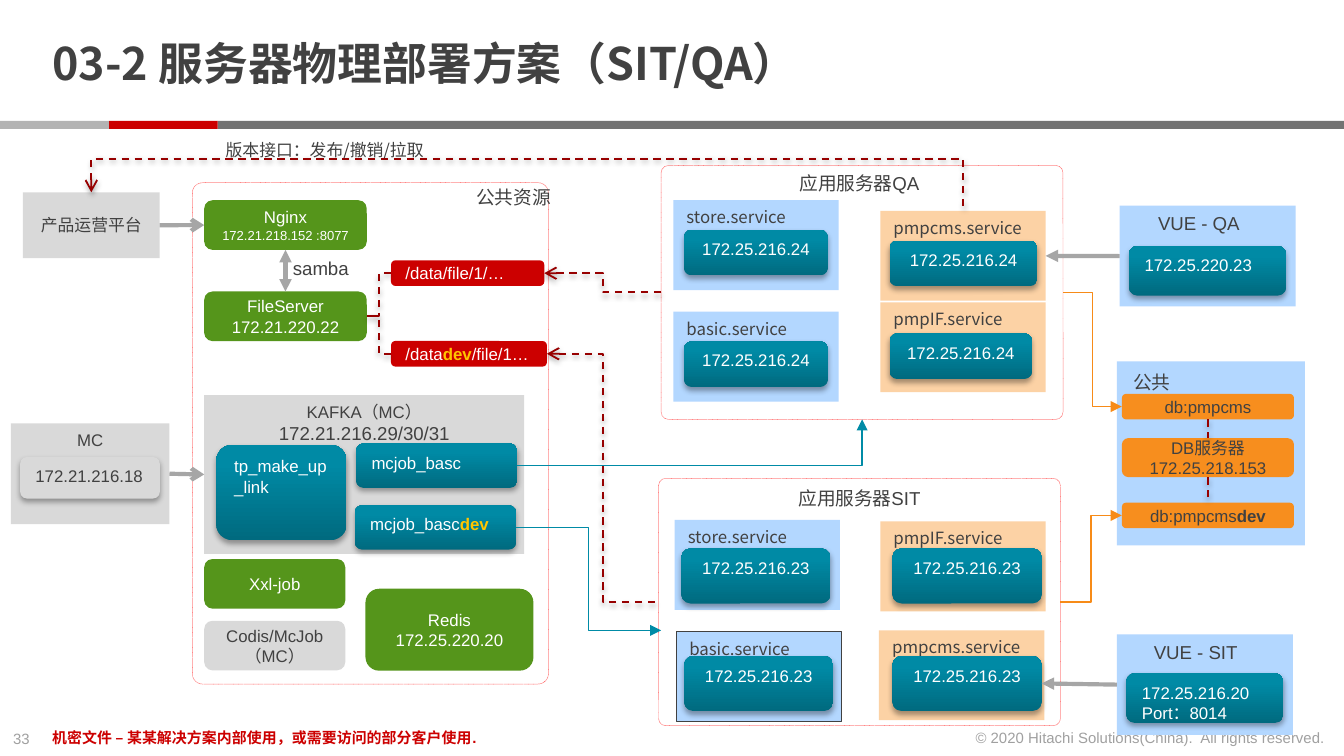
from lxml import etree
from pptx import Presentation
from pptx.dml.color import RGBColor
from pptx.enum.dml import MSO_LINE
from pptx.enum.shapes import MSO_CONNECTOR, MSO_SHAPE
from pptx.enum.text import MSO_ANCHOR, PP_ALIGN
from pptx.oxml.ns import qn
from pptx.util import Pt

RECT, ROUND = MSO_SHAPE.RECTANGLE, MSO_SHAPE.ROUNDED_RECTANGLE
STRAIGHT, ELBOW = MSO_CONNECTOR.STRAIGHT, MSO_CONNECTOR.ELBOW
LEFT_AL, CENTER, RIGHT_AL = PP_ALIGN.LEFT, PP_ALIGN.CENTER, PP_ALIGN.RIGHT
TOP_ANCHOR, MIDDLE = MSO_ANCHOR.TOP, MSO_ANCHOR.MIDDLE
DASH, DOT = MSO_LINE.DASH, MSO_LINE.ROUND_DOT
TOP, LEFT, BOTTOM, RIGHT = range(4)  # connection sites

SANS, CJK = "Arial", "Noto Sans CJK SC"
INK, WHITE, PALE_INK = "414141", "FFFFFF", "A0A0A0"
GREEN, RED, ORANGE, GRAY = "55951B", "CC0000", "F78E1E", "D9D9D9"
BLUE, PEACH, YELLOW = "B3D7FF", "FCD2A5", "FFC600"
DARK_RED, TEAL, ARROW_GRAY, ARROW_ORANGE = "970000", "008BA6", "A6A6A6", "F78B18"
DEV = ("dev", {"color": YELLOW, "bold": True})


def rgb(code):
    return RGBColor.from_string(code)


def write(shape, paragraphs, size=9, color=INK, font=SANS, align=CENTER,
          anchor=TOP_ANCHOR, bold=False, wrap=True):
    """Each paragraph is a string or a list of (text, changes) runs."""
    frame = shape.text_frame
    frame.word_wrap = wrap
    frame.vertical_anchor = anchor
    for i, content in enumerate(paragraphs):
        paragraph = frame.add_paragraph() if i else frame.paragraphs[0]
        paragraph.alignment = align
        for text, changes in [(content, {})] if isinstance(content, str) else content:
            run = paragraph.add_run()
            run.text = text
            run.font.name = font
            run.font.size = Pt(changes.get("size", size))
            run.font.bold = changes.get("bold", bold)
            run.font.color.rgb = rgb(changes.get("color", color))
            etree.SubElement(run.font._element, qn("a:ea"), typeface=CJK)


def add_shadow(shape, alpha, distance):
    properties = shape._element.spPr
    effects = properties.find(qn("a:effectLst"))
    shadow = etree.SubElement(effects, qn("a:outerShdw"), blurRad=str(Pt(3.1)),
                              dist=str(Pt(distance)), dir="5400000", rotWithShape="0")
    shade = etree.SubElement(shadow, qn("a:srgbClr"), val="000000")
    etree.SubElement(shade, qn("a:alpha"), val=str(alpha * 1000))


def add_box(slide, kind, area, fill=None, paragraphs=(), **style):
    box = slide.shapes.add_shape(kind, *map(Pt, area))
    box.shadow.inherit = False
    box.line.fill.background()
    if fill:
        box.fill.solid()
        box.fill.fore_color.rgb = rgb(fill)
    else:
        box.fill.background()
    write(box, paragraphs, **style)
    return box


def add_outline(shape, color, dash=None):
    shape.line.color.rgb = rgb(color)
    shape.line.width = Pt(0.25)
    if dash:
        shape.line.dash_style = dash


def add_panel(slide, area, paragraphs=()):
    panel = add_box(slide, ROUND, area, None, paragraphs, size=10)
    panel.adjustments[0] = 0.029
    add_outline(panel, "FF4747", DOT)
    return panel


def add_button(slide, area, paragraphs, align=CENTER):
    """Raised teal button with a vertical gradient."""
    button = add_box(slide, ROUND, area, TEAL, paragraphs, color=WHITE, align=align)
    button.fill.gradient()
    button.fill.gradient_angle = 90
    for stop, color, position in zip(button.fill.gradient_stops,
                                     ("006A7F", "008AA5"), (0, 0.8)):
        stop.color.rgb = rgb(color)
        stop.position = position
    add_shadow(button, 35, 1.8)
    return button


def add_service(slide, name, x, y, fill, button_area, ip):
    card = add_box(slide, RECT, (x, y, 88.6, 48.2), fill, [name],
                   font=CJK, align=LEFT_AL)
    return card, add_button(slide, button_area, [ip])


def add_label(slide, area, text, **style):
    write(slide.shapes.add_textbox(*map(Pt, area)), [text], **style)


def add_link(slide, kind, start, end, color, width, head=None, tail=None, dashed=False):
    """start is (shape, site); end is (shape, site) or a point (x, y)."""
    free = isinstance(end[0], (int, float))
    x, y = map(Pt, end) if free else (0, 0)
    link = slide.shapes.add_connector(kind, 0, 0, x, y)
    link.begin_connect(*start)
    if not free:
        link.end_connect(*end)
    link.line.color.rgb = rgb(color)
    link.line.width = Pt(width)
    if dashed:
        link.line.dash_style = DASH
    line = link._element.spPr.find(qn("a:ln"))
    for tag, arrow in (("a:headEnd", head), ("a:tailEnd", tail)):
        if arrow:
            etree.SubElement(line, qn(tag), type=arrow)
    etree.SubElement(link._element.spPr, qn("a:effectLst"))
    if dashed:
        add_shadow(link, 38, 1.6)
    return link


def route_over_top(link, rise):
    """Turn an elbow so that it leaves and arrives from above."""
    x, y, across, down = link.left, link.top, link.width, link.height
    link.left, link.top = x + (across - down) // 2, y + (down - across) // 2
    link.width, link.height = down, across
    xfrm = link._element.spPr.find(qn("a:xfrm"))
    xfrm.set("rot", "16200000")
    xfrm.set("flipH", "1")
    guides = link._element.spPr.find(qn("a:prstGeom")).get_or_add_avLst()
    ratio = round(-Pt(rise) / down * 100000)
    etree.SubElement(guides, qn("a:gd"), name="adj1", fmla=f"val {ratio}")


def add_frame(slide):
    # Title, colour bar and footer
    title = slide.shapes.title
    title.left, title.top, title.width, title.height = map(Pt, (20.9, 9.4, 555, 52.6))
    write(title, ["03-2 服务器物理部署方案（SIT/QA）"], size=24, font=CJK,
          align=LEFT_AL, anchor=MIDDLE, bold=True)
    title.text_frame.margin_top = title.text_frame.margin_bottom = 0
    title.text_frame.paragraphs[0].line_spacing = 0.85
    for x, width, color in ((116.6, 603.4, "737373"), (58.3, 58.3, RED), (0, 58.3, "B3B3B3")):
        add_box(slide, RECT, (x, 64.8, width, 4.3), color)
    add_label(slide, (0, 387.2, 24.5, 17), "33", size=8, color=PALE_INK,
              align=LEFT_AL, wrap=False)
    add_label(slide, (512.6, 386.8, 204.5, 17),
              "© 2020 Hitachi Solutions(China).\u00a0 All rights reserved.".replace("\u00a0", " "),
              size=8, color=PALE_INK, align=RIGHT_AL, wrap=False)
    add_label(slide, (20.9, 386.8, 485, 17),
              "机密文件 – 某某解决方案内部使用，或需要访问的部分客户使用.",
              size=8, color=RED, align=LEFT_AL, bold=True)


def main():
    prs = Presentation()
    prs.slide_width, prs.slide_height = Pt(720), Pt(405)
    slide = prs.slides.add_slide(prs.slide_layouts[5])
    add_frame(slide)

    # Application servers
    qa = add_panel(slide, (354.2, 88.6, 215.3, 136.1))
    add_label(slide, (378.7, 88.6, 163.4, 19.4), "应用服务器QA", size=10)
    sit = add_panel(slide, (352.8, 256.3, 215.3, 132.5), ["应用服务器SIT"])
    qa_ip, sit_ip = "172.25.216.24", "172.25.216.23"
    add_service(slide, "store.service", 360.7, 107.3, BLUE, (366.5, 123.1, 77, 24.5), qa_ip)
    add_service(slide, "basic.service", 360.7, 167, BLUE, (366.5, 182.9, 77, 24.5), qa_ip)
    qa_cms, _ = add_service(slide, "pmpcms.service", 471.6, 113, PEACH,
                            (476.6, 128.9, 79.2, 24.5), qa_ip)
    add_service(slide, "pmpIF.service", 471.6, 162, PEACH, (476.6, 178.6, 76.3, 24.5), qa_ip)
    add_service(slide, "store.service", 361.4, 278.6, BLUE, (365, 293.8, 79.9, 29.5), sit_ip)
    sit_basic, _ = add_service(slide, "basic.service", 362.2, 338.4, BLUE,
                               (366.5, 351.4, 79.9, 29.5), sit_ip)
    add_outline(sit_basic, INK)
    add_service(slide, "pmpIF.service", 471.6, 279.4, PEACH, (478.1, 293.8, 79.9, 29.5), sit_ip)
    _, sit_cms = add_service(slide, "pmpcms.service", 470.9, 337.7, PEACH,
                             (478.1, 351.4, 79.9, 29.5), sit_ip)

    # Shared resources
    add_panel(slide, (103, 97.9, 190.8, 268.6))
    add_label(slide, (247.7, 95.8, 54.7, 19.4), "公共资源", size=10, wrap=False)
    solid = {"color": WHITE, "anchor": MIDDLE}
    nginx = add_box(slide, ROUND, (109.4, 107.3, 87.1, 26.6), GREEN,
                    ["Nginx", [("172.21.218.152 :8077", {"size": 7})]], **solid)
    file_server = add_box(slide, ROUND, (109.4, 156.2, 87.1, 26.6), GREEN,
                          ["FileServer", "172.21.220.22"], **solid)
    add_label(slide, (149.8, 133.9, 44.6, 19.4), "samba", size=10, align=LEFT_AL)
    qa_files = add_box(slide, ROUND, (209.5, 139.5, 82.1, 13.7), RED,
                       ["/data/file/1/…"], align=LEFT_AL, **solid)
    sit_files = add_box(slide, ROUND, (209.5, 182.7, 83.5, 13.7), RED,
                        [[("/data", {}), DEV, ("/file/1…", {})]], align=LEFT_AL, **solid)
    kafka = add_box(slide, RECT, (109.4, 211.7, 171.4, 85), GRAY,
                    ["KAFKA（MC）", [("172.21.216.29/30/31", {"size": 10})]])
    add_button(slide, (115.9, 238.3, 69.8, 51.1), ["tp_make_up_link"], LEFT_AL)
    qa_job = add_button(slide, (190.8, 237.6, 86.4, 23.8), ["mcjob_basc"], LEFT_AL)
    sit_job = add_button(slide, (190.1, 270.7, 86.4, 23.8), [[("mcjob_basc", {}), DEV]], LEFT_AL)
    add_box(slide, ROUND, (109.4, 299.5, 75.6, 26.6), GREEN, ["Xxl-job"], **solid)
    add_box(slide, ROUND, (109.4, 332.6, 75.6, 26.6), GRAY,
            ["Codis/McJob", "（MC）"], anchor=MIDDLE)
    add_box(slide, ROUND, (195.8, 315.4, 90, 43.9), GREEN, ["Redis", "172.25.220.20"], **solid)

    # Clients on the left
    platform = add_box(slide, RECT, (12.2, 103, 73.4, 35.3), GRAY, ["产品运营平台"],
                       font=CJK, anchor=MIDDLE)
    mc = add_box(slide, RECT, (5.8, 226.8, 85, 54), GRAY, ["MC"])
    mc_address = add_box(slide, ROUND, (10.8, 244.8, 74.9, 22.3), GRAY,
                         ["172.21.216.18"], align=LEFT_AL)
    add_shadow(mc_address, 35, 1.8)
    add_label(slide, (92.2, 62.6, 163.4, 35.3), "版本接口：发布/撤销/拉取", font=CJK, anchor=MIDDLE)

    # Front ends and database on the right
    vue_qa = add_box(slide, RECT, (599.8, 110.2, 94.3, 54), BLUE)
    add_button(slide, (604.8, 131.8, 84.2, 26.6), ["172.25.220.23"], LEFT_AL)
    add_label(slide, (612.7, 110.2, 59, 19.4), "VUE - QA", size=10, wrap=False)
    vue_sit = add_box(slide, RECT, (598.3, 339.8, 94.3, 54), BLUE)
    add_button(slide, (603.4, 360.7, 84.2, 26.6), ["172.25.216.20", "Port：8014"], LEFT_AL)
    add_label(slide, (610.6, 339.8, 59.8, 19.4), "VUE - SIT", size=10, wrap=False)
    add_box(slide, RECT, (598.3, 193.7, 100.8, 98.6), BLUE)
    add_label(slide, (599.8, 195.1, 34.6, 19.4), "公共", size=10, wrap=False)
    qa_db = add_box(slide, ROUND, (601, 211, 92.2, 13.7), ORANGE, ["db:pmpcms"], anchor=MIDDLE)
    db_server = add_box(slide, ROUND, (601, 234.7, 92.2, 20.9), ORANGE,
                        ["DB服务器", "172.25.218.153"], anchor=MIDDLE)
    sit_db = add_box(slide, ROUND, (601, 269.3, 92.2, 13.7), ORANGE,
                     [[("db:pmpcms", {}), ("dev", {"bold": True})]], anchor=MIDDLE)

    # Gray request arrows
    for start, end in (((platform, RIGHT), (nginx, LEFT)), ((mc, RIGHT), (kafka, LEFT))):
        add_link(slide, STRAIGHT, start, end, ARROW_GRAY, 2.25, tail="arrow")
    for start, end in (((vue_qa, LEFT), (qa_cms, RIGHT)), ((vue_sit, LEFT), (sit_cms, RIGHT))):
        add_link(slide, STRAIGHT, start, end, ARROW_GRAY, 2.25, tail="triangle")
    add_link(slide, STRAIGHT, (nginx, BOTTOM), (file_server, TOP), ARROW_GRAY, 2.25,
             head="triangle", tail="triangle")

    # Dashed file, version and database links
    for kind, start, end, head in (
            (ELBOW, (qa_files, LEFT), (file_server, RIGHT), None),
            (ELBOW, (sit_files, LEFT), (file_server, RIGHT), None),
            (ELBOW, (qa_files, RIGHT), (qa, LEFT), "arrow"),
            (ELBOW, (sit_files, RIGHT), (sit, LEFT), "arrow"),
            (STRAIGHT, (qa_db, BOTTOM), (db_server, TOP), None),
            (STRAIGHT, (db_server, BOTTOM), (sit_db, TOP), None)):
        add_link(slide, kind, start, end, DARK_RED, 1, head=head, dashed=True)
    version_link = add_link(slide, ELBOW, (platform, TOP), (qa_cms, TOP), DARK_RED, 1,
                            head="arrow", dashed=True)
    route_over_top(version_link, 18)

    # Job and database routes
    job_link = add_link(slide, ELBOW, (qa_job, RIGHT), (qa, BOTTOM), TEAL, 0.75, tail="triangle")
    job_link._element.spPr.find(qn("a:prstGeom")).set("prst", "bentConnector2")
    add_link(slide, ELBOW, (sit_job, RIGHT), (354.2, 337.7), TEAL, 0.75, tail="triangle")
    for database, server in ((qa_db, qa), (sit_db, sit)):
        add_link(slide, ELBOW, (database, LEFT), (server, RIGHT), ARROW_ORANGE, 0.75,
                 head="triangle")

    prs.save("out.pptx")


if __name__ == "__main__":
    main()
